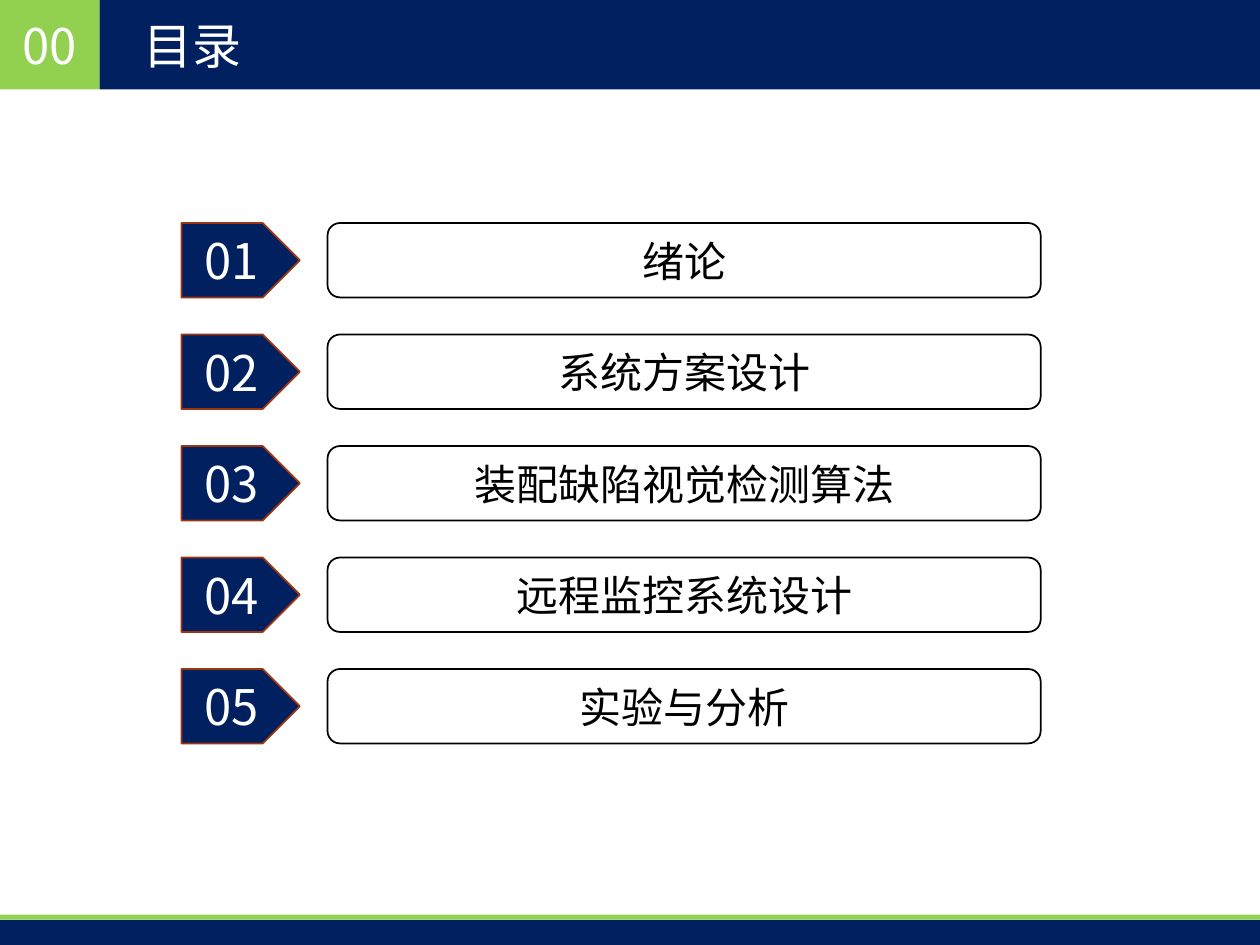
from dataclasses import dataclass

from lxml import etree
from pptx import Presentation
from pptx.dml.color import RGBColor
from pptx.enum.shapes import MSO_SHAPE
from pptx.enum.text import MSO_ANCHOR, PP_ALIGN
from pptx.oxml.ns import qn
from pptx.util import Inches, Pt

RECT = MSO_SHAPE.RECTANGLE
PENTAGON = MSO_SHAPE.PENTAGON
ROUNDED = MSO_SHAPE.ROUNDED_RECTANGLE
MIDDLE = MSO_ANCHOR.MIDDLE
LEFT, CENTER = PP_ALIGN.LEFT, PP_ALIGN.CENTER


@dataclass(frozen=True)
class Theme:
    navy: RGBColor = RGBColor.from_string("002060")
    green: RGBColor = RGBColor.from_string("92D050")
    rust: RGBColor = RGBColor.from_string("9C3511")
    white: RGBColor = RGBColor.from_string("FFFFFF")
    black: RGBColor = RGBColor.from_string("000000")
    font: str = "Noto Sans CJK SC"
    heading: int = 28
    entry: int = 24


theme = Theme()
W, H = 10, 7.5

prs = Presentation()
prs.slide_width, prs.slide_height = Inches(W), Inches(H)
s = prs.slides.add_slide(prs.slide_layouts[6])


def add_block(kind, x, y, w, h, fill, line=None):
    sp = s.shapes.add_shape(kind, Inches(x), Inches(y), Inches(w), Inches(h))
    sp.shadow.inherit = False
    sp.fill.solid()
    sp.fill.fore_color.rgb = fill
    if line is None:
        sp.line.fill.background()
    else:
        sp.line.color.rgb = line
        sp.line.width = Pt(1)
    return sp


def write(sp, text, size, color, align=CENTER):
    tf = sp.text_frame
    tf.word_wrap = True
    tf.vertical_anchor = MIDDLE
    p = tf.paragraphs[0]
    p.alignment = align
    r = p.add_run()
    r.text = text
    r.font.size = Pt(size)
    r.font.color.rgb = color
    r.font.name = theme.font
    etree.SubElement(r.font._element, qn("a:ea")).set("typeface", theme.font)


# Header and footer bands
header_h, number_w = 0.71, 0.79
footer_h, stripe_h = 0.2, 0.04
footer_y = H - footer_h

number = add_block(RECT, 0, 0, number_w, header_h, theme.green)
write(number, "00", theme.heading, theme.white)
add_block(RECT, number_w, 0, W - number_w, header_h, theme.navy)
add_block(RECT, 0, footer_y, W, footer_h, theme.navy)
add_block(RECT, 0, footer_y - stripe_h, W, stripe_h, theme.green)

title = s.shapes.add_textbox(Inches(1.04), 0, Inches(8.03), Inches(header_h))
write(title, "目录", theme.heading, theme.white, LEFT)

# Contents: one numbered row per chapter
chapters = ["绪论", "系统方案设计", "装配缺陷视觉检测算法", "远程监控系统设计", "实验与分析"]
tag_x, tag_w = 1.44, 0.94
bar_x, bar_w = 2.6, 5.66
top, pitch, row_h = 1.77, 0.885, 0.59

for i, chapter in enumerate(chapters):
    y = top + i * pitch
    tag = add_block(PENTAGON, tag_x, y, tag_w, row_h, theme.navy, theme.rust)
    write(tag, f"{i + 1:02d}", theme.heading, theme.white)
    bar = add_block(ROUNDED, bar_x, y, bar_w, row_h, theme.white, theme.black)
    write(bar, chapter, theme.entry, theme.black)

prs.save("out.pptx")
